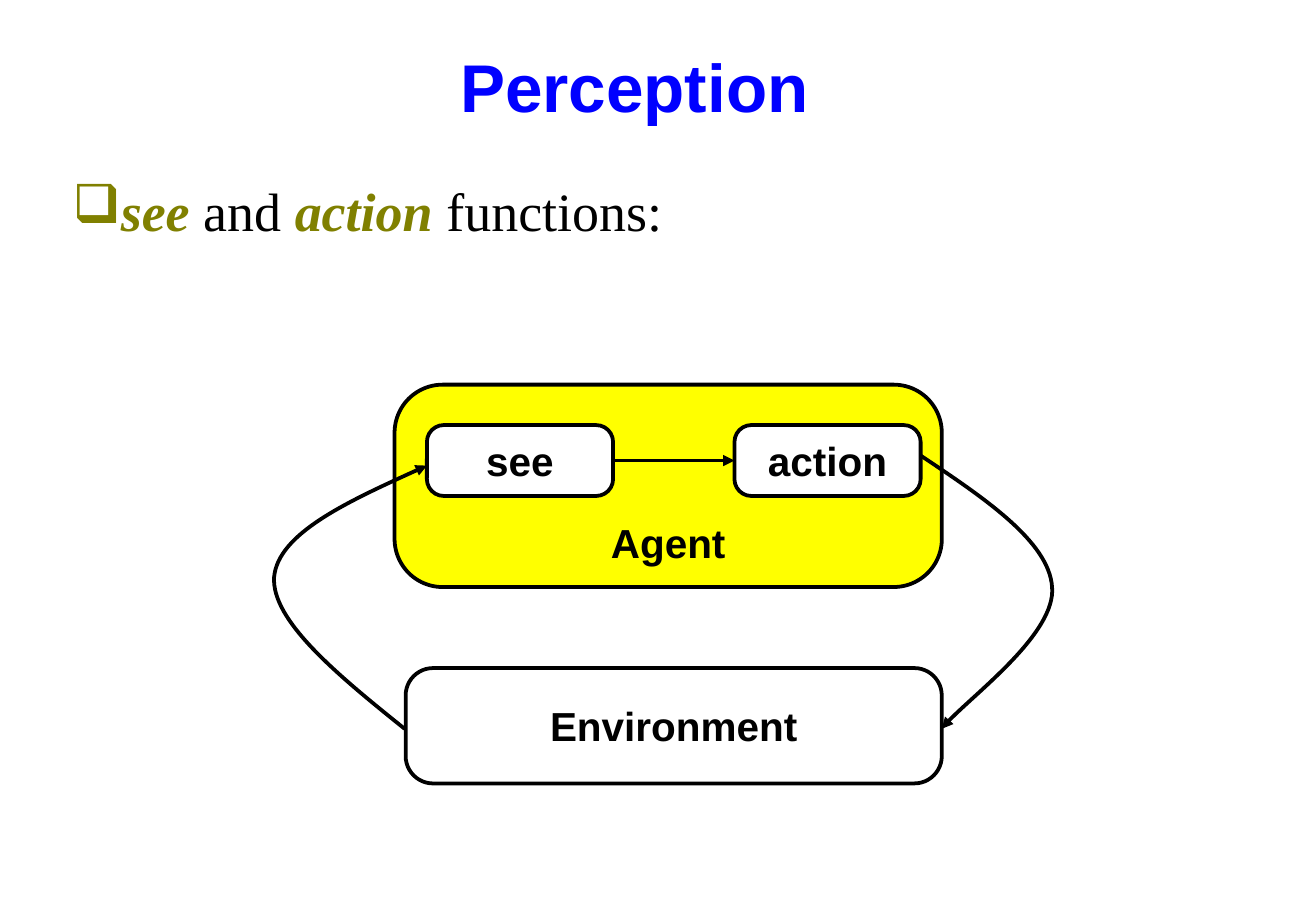
"""Draw the agent perception slide on a grid of twelve cells to the inch."""
from dataclasses import dataclass

import lxml.etree
import pptx
import pptx.dml.color
import pptx.enum.shapes
import pptx.enum.text
import pptx.oxml.ns
import pptx.util

COLORS = {"blue": "0000FF", "olive": "808000", "black": "000000",
          "white": "FFFFFF", "yellow": "FFFF00"}
ALIGN = pptx.enum.text.PP_ALIGN
ANCHOR = pptx.enum.text.MSO_ANCHOR
KINDS = pptx.enum.shapes
Point = tuple[float, float]


@dataclass
class Box:
    label: str
    col: float
    row: float
    cols: float
    rows: float
    fill: str = "white"
    anchor: ANCHOR = ANCHOR.MIDDLE


BOXES = [
    Box("Environment", 40.1, 66, 53, 11.4),
    Box("Agent", 39, 38, 54.1, 20, "yellow", ANCHOR.BOTTOM),
    Box("see", 42.2, 42, 18.4, 7),
    Box("action", 72.6, 42, 18.4, 7),
]
CURVES: list[list[Point]] = [
    [(40, 72), (33.4, 66.7), (26.8, 61.3), (27.1, 57),
     (27.5, 52.7), (34.9, 49.3), (42.2, 46)],
    [(91, 45), (97.3, 49.2), (103.7, 53.5), (104, 58),
     (104.4, 62.5), (94.8, 69.7), (93.1, 72)],
]


def cell(count: float) -> int:
    return int(pptx.util.Inches(count / 12))


def color(name: str) -> pptx.dml.color.RGBColor:
    return pptx.dml.color.RGBColor.from_string(COLORS[name])


def node(parent, tag: str, **attrs: str):
    return lxml.etree.SubElement(parent, pptx.oxml.ns.qn(tag), attrs)


def write(frame, runs: list[tuple[str, str, bool]], *, size: float,
          font: str = "Arial", italic: bool = False,
          align: ALIGN = ALIGN.CENTER, anchor: ANCHOR = ANCHOR.MIDDLE,
          bullet: str = "") -> None:
    frame.word_wrap = True
    frame.vertical_anchor = anchor
    para = frame.paragraphs[0]
    para.alignment = align
    if bullet:
        props = para._p.get_or_add_pPr()
        hang = cell(4.5)
        props.set("marL", str(hang))
        props.set("indent", str(-hang))
        node(node(props, "a:buClr"), "a:srgbClr", val=COLORS["olive"])
        node(props, "a:buChar", char=bullet)
    for text, tint, bold in runs:
        run = para.add_run()
        run.text = text
        run.font.name = font
        run.font.size = pptx.util.Pt(size)
        run.font.bold = bold
        run.font.italic = italic and bold
        run.font.color.rgb = color(tint)


def frame(slide, col: float, row: float, cols: float, rows: float):
    return slide.shapes.add_textbox(*map(cell, (col, row, cols, rows))).text_frame


def stroke(shape, arrow: bool = False) -> None:
    shape.line.color.rgb = color("black")
    shape.line.width = pptx.util.Pt(2.25)
    if arrow:
        node(shape.line._get_or_add_ln(), "a:tailEnd", type="triangle")


def block(slide, box: Box):
    shape = slide.shapes.add_shape(
        KINDS.MSO_SHAPE.ROUNDED_RECTANGLE,
        *map(cell, (box.col, box.row, box.cols, box.rows)))
    shape.adjustments[0] = 0.238
    shape.shadow.inherit = False
    shape.fill.solid()
    shape.fill.fore_color.rgb = color(box.fill)
    stroke(shape)
    write(shape.text_frame, [(box.label, "black", True)], size=24, anchor=box.anchor)
    return shape


def curve(slide, points: list[Point]) -> None:
    spots = [(cell(x), cell(y)) for x, y in points]
    pen = slide.shapes.build_freeform(*spots[0])
    pen.add_line_segments(spots[1:], close=False)
    shape = pen.convert_to_shape()
    steps = list(shape._element.iter(pptx.oxml.ns.qn("a:lnTo")))
    track = steps[0].getparent()
    for start in range(0, len(steps), 3):
        bend = node(track, "a:cubicBezTo")
        for step in steps[start:start + 3]:
            bend.append(step[0])
            track.remove(step)
    shape.shadow.inherit = False
    shape.fill.background()
    stroke(shape, arrow=True)


def link(slide, first, last) -> None:
    line = slide.shapes.add_connector(KINDS.MSO_CONNECTOR.STRAIGHT, 0, 0, 0, 0)
    line.begin_connect(first, 3)
    line.end_connect(last, 1)
    stroke(line, arrow=True)
    node(line._element.spPr, "a:effectLst")


def main() -> None:
    deck = pptx.Presentation()
    deck.slide_width = pptx.util.Inches(10.84)
    deck.slide_height = pptx.util.Inches(7.5)
    slide = deck.slides.add_slide(deck.slide_layouts[6])
    write(frame(slide, 19.7, 3.4, 86, 10), [("Perception", "blue", True)], size=40)
    write(frame(slide, 6, 17, 117, 10.6),
          [("see", "olive", True), (" and ", "black", False),
           ("action", "olive", True), (" functions:", "black", False)],
          size=32, font="Times New Roman", italic=True, align=ALIGN.LEFT,
          anchor=ANCHOR.TOP, bullet="❑")
    shapes = {box.label: block(slide, box) for box in BOXES}
    for points in CURVES:
        curve(slide, points)
    link(slide, shapes["see"], shapes["action"])
    deck.save("out.pptx")


if __name__ == "__main__":
    main()
